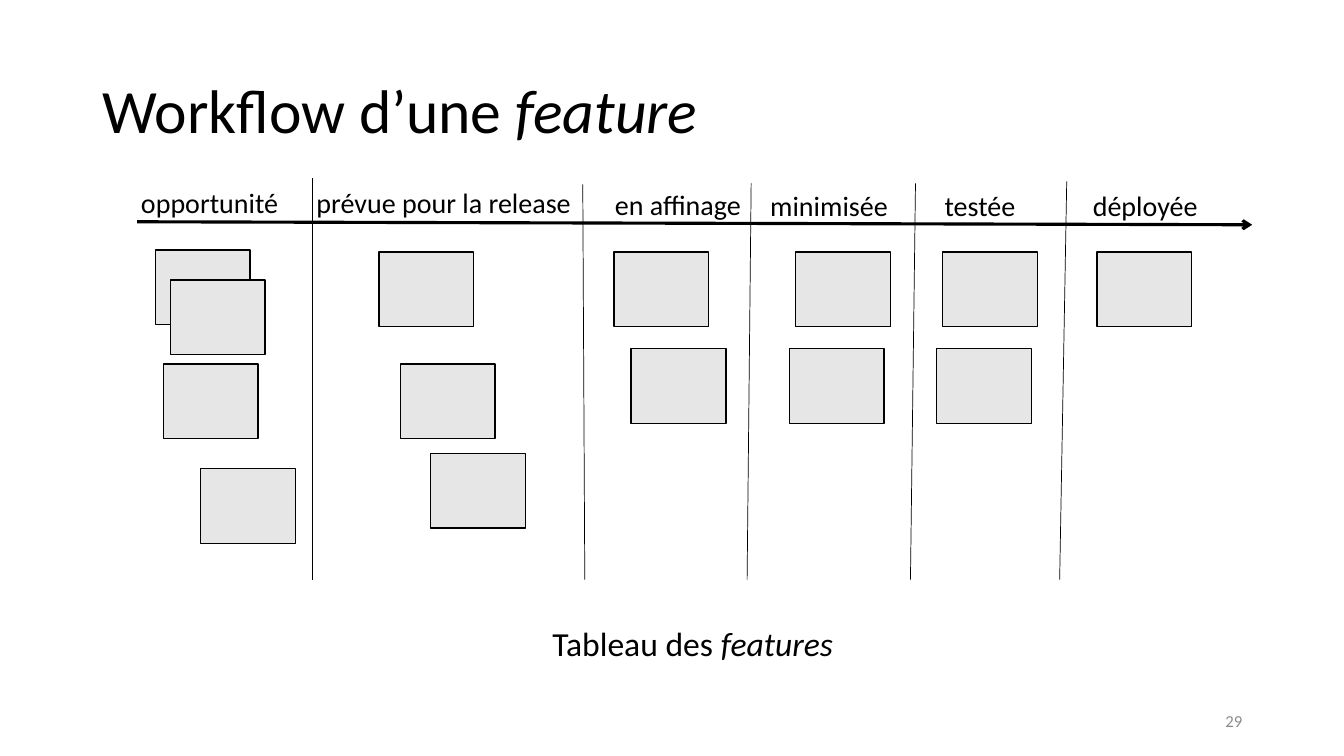
from lxml import etree
from pptx import Presentation
from pptx import util as u
from pptx.dml.color import RGBColor
from pptx.enum import shapes, text
from pptx.oxml.ns import qn

FONT = "Calibri"
BLACK, CARD_GREY, NUMBER_GREY = "000000", "E7E6E6", "8C8C8C"
CARD_WIDTH, CARD_HEIGHT = 0.94, 0.74
LABEL_HEIGHT = 0.44

# Lengths are inches from the board's top left corner:
# label, (label left, top, width), cards (left, top)
COLUMNS = [
    ("opportunité", (0, 0.02, 1.58), [(0.24, 0.71), (0.69, 2.88), (0.32, 1.84), (0.39, 1.01)]),
    ("prévue pour la release", (1.74, 0.02, 2.75), [(2.46, 0.73), (2.97, 2.73), (2.67, 1.84)]),
    ("en affinage", (4.7, 0.04, 1.47), [(4.79, 0.73), (4.96, 1.69)]),
    ("minimisée", (6.24, 0.05, 1.38), [(6.53, 1.69), (6.59, 0.73)]),
    ("testée", (7.97, 0.05, 0.91), [(7.99, 1.69), (8.05, 0.73)]),
    ("déployée", (9.44, 0.05, 1.25), [(9.58, 0.73)]),
]
# top x, top y, bottom x
DIVIDERS = [(1.8, 0, 1.8), (4.48, 0.06, 4.5), (6.15, 0.05, 6.11), (7.78, 0.05, 7.73), (9.28, 0.03, 9.21)]


def color(value):
    """Return the colour for a hex string."""
    return RGBColor.from_string(value)


def add_text(page, box, parts, size, ink=BLACK, align=text.PP_ALIGN.LEFT,
             anchor=text.MSO_ANCHOR.TOP, wrap=False, spacing=None):
    """Add a text box whose parts are (wording, italic) pairs."""
    frame = page.shapes.add_textbox(*map(u.Inches, box)).text_frame
    frame.word_wrap = wrap
    frame.auto_size = text.MSO_AUTO_SIZE.NONE if wrap else text.MSO_AUTO_SIZE.SHAPE_TO_FIT_TEXT
    frame.vertical_anchor = anchor
    para = frame.paragraphs[0]
    para.alignment = align
    para.line_spacing = spacing
    for wording, italic in parts:
        span = para.add_run()
        span.text = wording
        span.font.name = FONT
        span.font.size = u.Pt(size)
        span.font.italic = italic
        span.font.color.rgb = color(ink)


def add_line(page, start, end, width, arrow=False):
    """Add a straight black line, with an open arrowhead if asked."""
    line = page.shapes.add_connector(shapes.MSO_CONNECTOR.STRAIGHT, *map(u.Inches, start + end))
    line.line.color.rgb = color(BLACK)
    line.line.width = u.Pt(width)
    if arrow:
        etree.SubElement(line.line._get_or_add_ln(), qn("a:tailEnd"), type="arrow")
    etree.SubElement(line._element.spPr, qn("a:effectLst"))


def add_card(page, left, top):
    """Add one empty feature card."""
    card = page.shapes.add_shape(shapes.MSO_SHAPE.RECTANGLE,
                                 *map(u.Inches, (left, top, CARD_WIDTH, CARD_HEIGHT)))
    card.shadow.inherit = False
    card.fill.solid()
    card.fill.fore_color.rgb = color(CARD_GREY)
    card.line.color.rgb = color(BLACK)
    card.line.width = u.Pt(1)


def add_board(page, box):
    """Add the feature board: time arrow, cards, labels and dividers."""
    left, top, width, height = box
    add_line(page, (left + 0.06, top + 0.43), (left + width, top + 0.46), 2.25, arrow=True)
    for label, (label_x, label_y, label_width), cards in COLUMNS:
        for x, y in cards:
            add_card(page, left + x, top + y)
        add_text(page, (left + label_x, top + label_y, label_width, LABEL_HEIGHT),
                 [(label, False)], 20)
    for top_x, top_y, bottom_x in DIVIDERS:
        add_line(page, (left + top_x, top + top_y), (left + bottom_x, top + height), 0.5)


def main():
    """Build the slide and save the deck."""
    deck = Presentation()
    deck.slide_width, deck.slide_height = u.Inches(13.33), u.Inches(7.5)
    page = deck.slides.add_slide(deck.slide_layouts[6])
    add_text(page, (0.92, 0.4, 11.5, 1.45), [("Workflow d’une ", False), ("feature", True)], 44,
             anchor=text.MSO_ANCHOR.MIDDLE, wrap=True, spacing=0.9)
    add_board(page, (1.3, 1.77, 11.12, 3.98))
    add_text(page, (5.38, 6.13, 3.02, 0.5), [("Tableau des ", False), ("features", True)], 24)
    add_text(page, (9.42, 6.95, 3, 0.4), [("29", False)], 12, ink=NUMBER_GREY,
             align=text.PP_ALIGN.RIGHT, anchor=text.MSO_ANCHOR.MIDDLE, wrap=True)
    deck.save("out.pptx")


if __name__ == "__main__":
    main()
